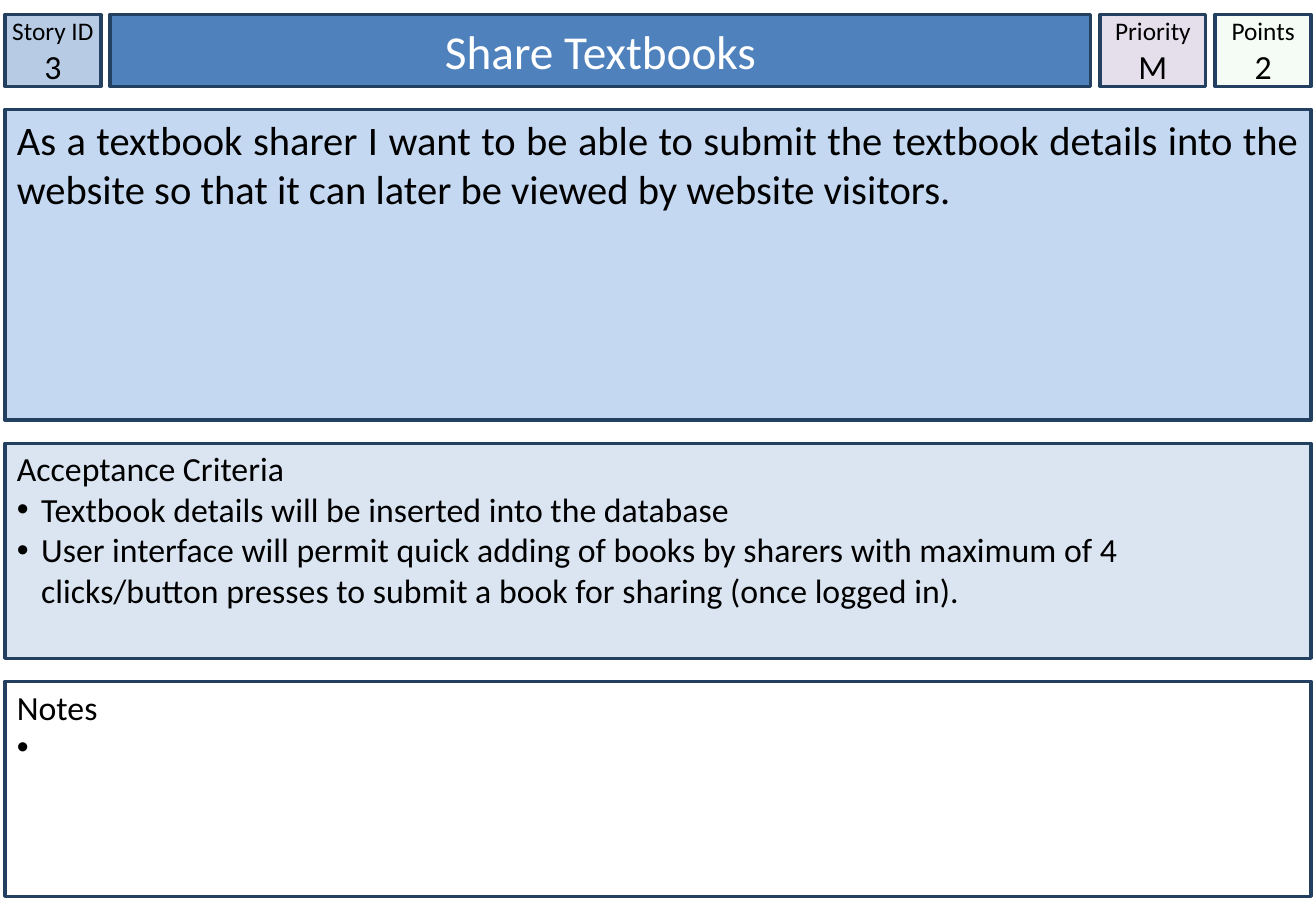
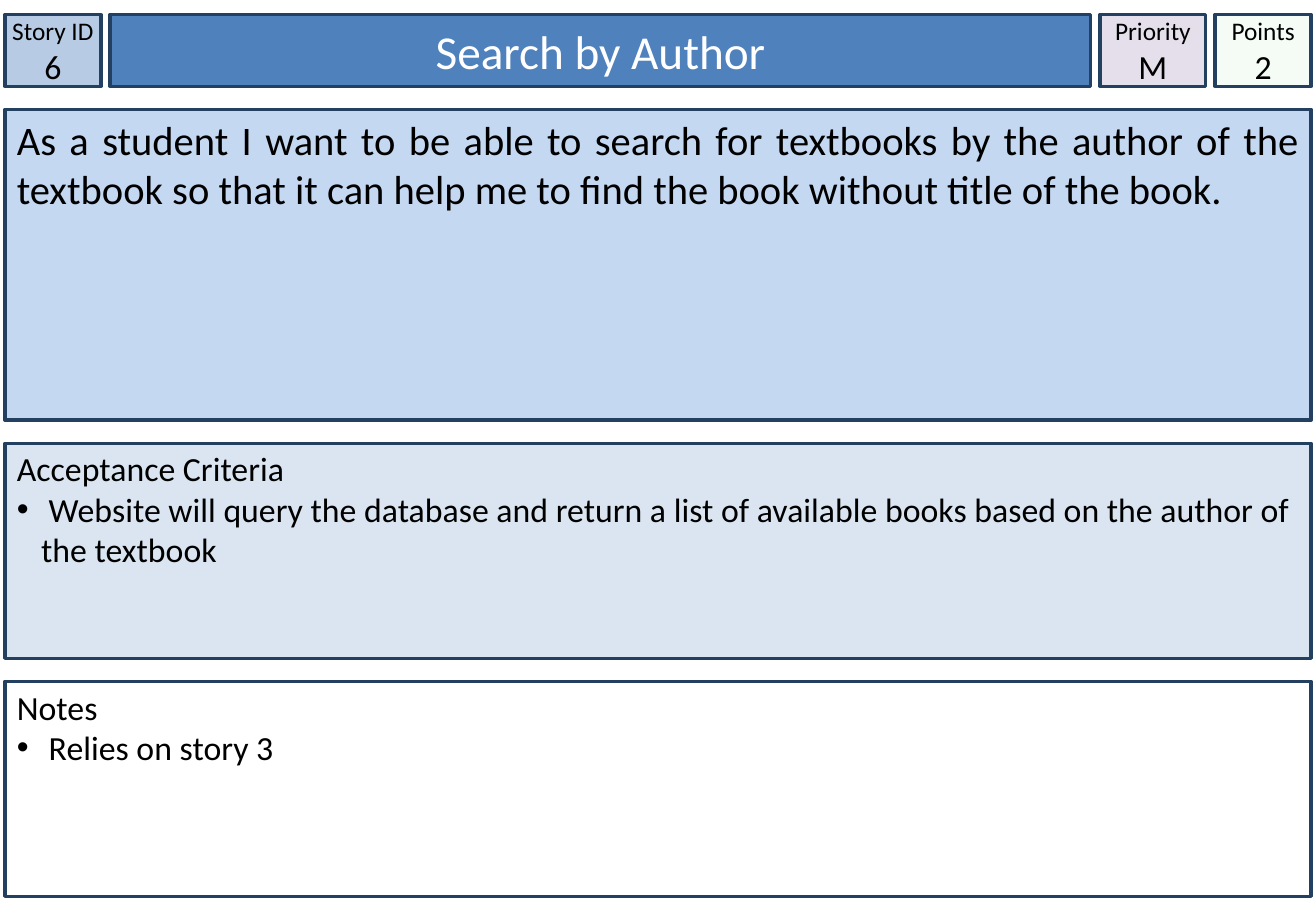
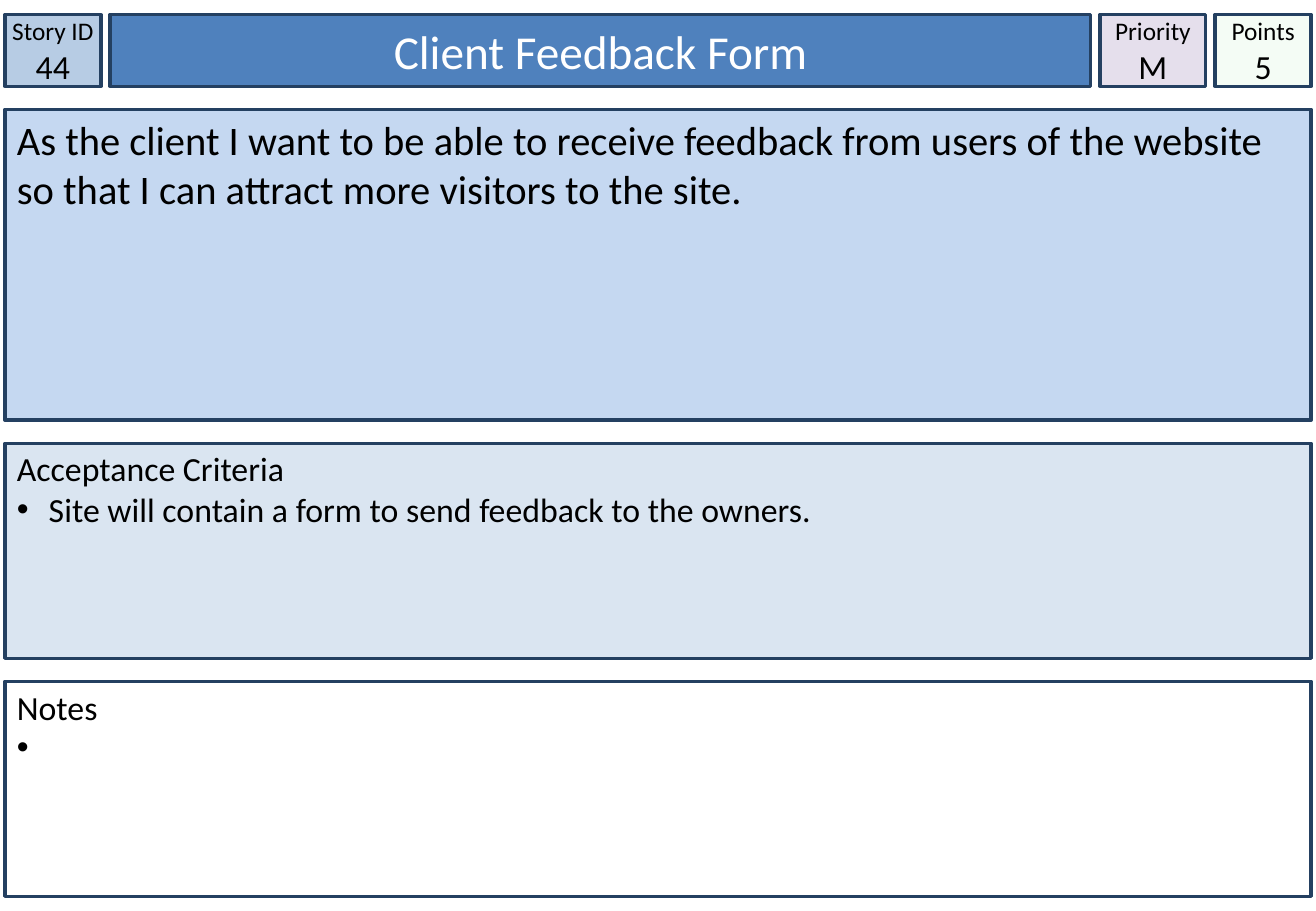
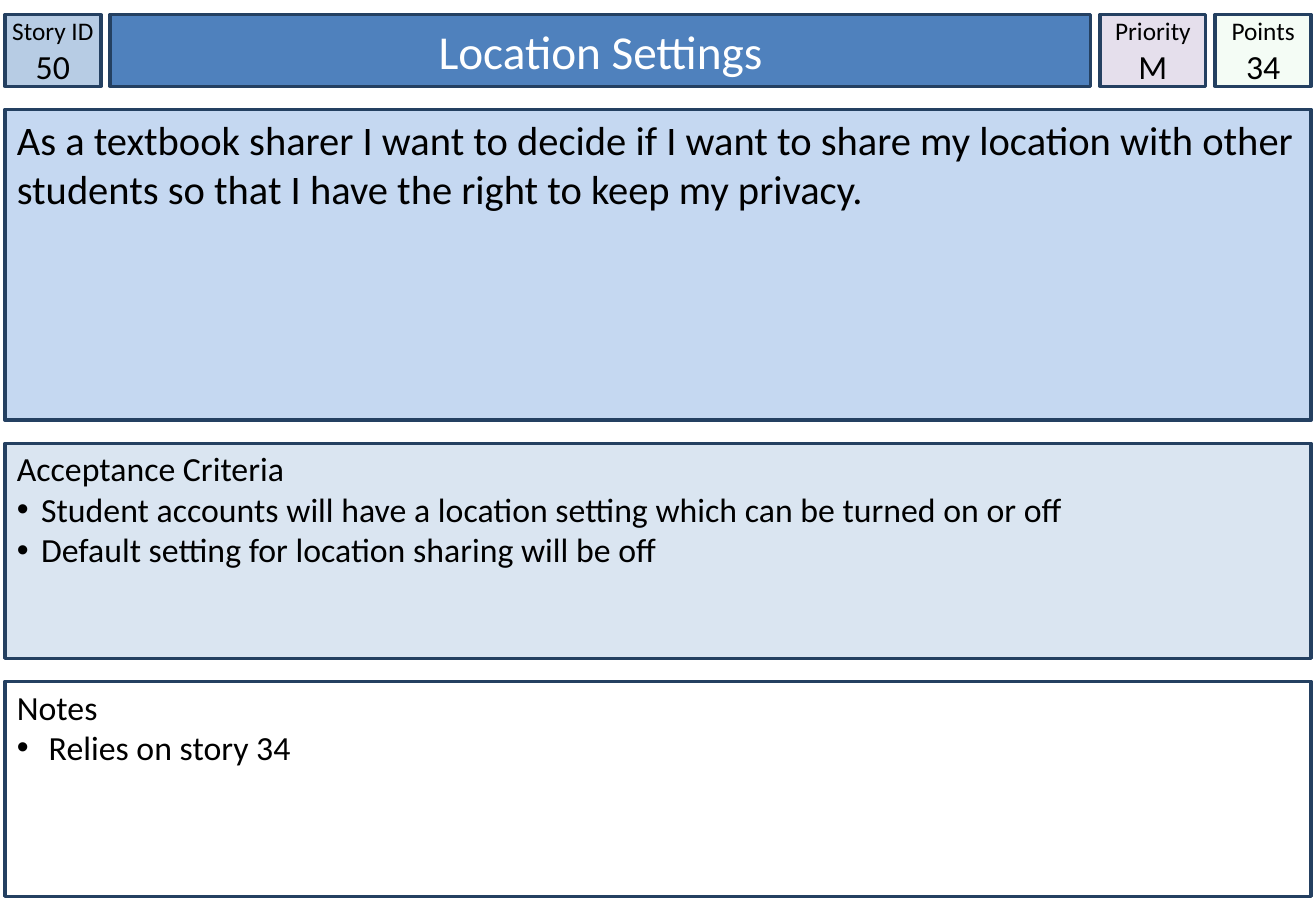
from dataclasses import dataclass

from lxml.etree import SubElement
from pptx import Presentation
from pptx.dml.color import RGBColor
from pptx.enum.shapes import MSO_SHAPE
from pptx.enum.text import MSO_ANCHOR as Anchor, PP_ALIGN as Align
from pptx.oxml.ns import qn
from pptx.shapes.autoshape import Shape
from pptx.slide import Slide
from pptx.util import Inches, Pt


@dataclass(frozen=True)
class Theme:
    font: str = "Calibri"
    text: str = "000000"
    title_text: str = "FFFFFF"
    border: str = "244061"
    story_id: str = "B7CCE4"
    title: str = "4F81BD"
    priority: str = "E5DFEC"
    points: str = "CCF0CD"
    points_opacity: int = 20
    story: str = "C5D8F1"
    criteria: str = "DAE5F1"
    notes: str = "FFFFFF"
    border_width: float = 2
    label_size: int = 15
    body_size: int = 20
    story_size: int = 24
    title_size: int = 28


@dataclass(frozen=True)
class Line:
    """One paragraph of text in a box."""
    text: str
    size: int
    align: Align = Align.LEFT
    color: str = "000000"
    bulleted: bool = False


@dataclass(frozen=True)
class Box:
    """A bordered rectangle; extent is its width in the header, its height in the stack."""
    extent: float
    fill: str
    lines: list[Line]
    anchor: Anchor = Anchor.TOP
    side_inset: float = 0.1
    top_inset: float = 0.05
    opacity: int = 100


@dataclass(frozen=True)
class Story:
    number: str
    title: str
    priority: str
    points: str
    text: str
    criteria: list[str]
    note: str = " "
    align: Align = Align.LEFT


THEME = Theme()
PAGE_WIDTH, PAGE_HEIGHT = 10.83, 7.5
LEFT, CONTENT_WIDTH = 0.04, 10.75
HEADER_TOP, HEADER_HEIGHT = 0.12, 0.59
STACK_GAP = 0.19
BULLET_INDENT = 0.2

STORIES = [
    Story(
        "3", "Share Textbooks", "M", "2",
        "As a textbook sharer I want to be able to submit the textbook details into the "
        "website so that it can later be viewed by website visitors.",
        ["Textbook details will be inserted into the database",
         "User interface will permit quick adding of books by sharers with maximum of 4 "
         "clicks/button presses to submit a book for sharing (once logged in)."],
        align=Align.JUSTIFY,
    ),
    Story(
        "6", "Search by Author", "M", "2",
        "As a student I want to be able to search for textbooks by the author of the "
        "textbook so that it can help me to find the book without title of the book.",
        [" Website will query the database and return a list of available books based on "
         "the author of the textbook"],
        " Relies on story 3",
        Align.JUSTIFY,
    ),
    Story(
        "44", "Client Feedback Form", "M", "5",
        "As the client I want to be able to receive feedback from users of the website "
        "so that I can attract more visitors to the site.",
        [" Site will contain a form to send feedback to the owners."],
    ),
    Story(
        "50", "Location Settings", "M", "34",
        "As a textbook sharer I want to decide if I want to share my location with other "
        "students so that I have the right to keep my privacy.",
        ["Student accounts will have a location setting which can be turned on or off",
         "Default setting for location sharing will be off"],
        " Relies on story 34",
    ),
]


def add_bullet(paragraph) -> None:
    properties = paragraph._p.get_or_add_pPr()
    properties.set("marL", str(Inches(BULLET_INDENT)))
    properties.set("indent", str(-Inches(BULLET_INDENT)))
    color = SubElement(properties, qn("a:buClr"))
    SubElement(color, qn("a:srgbClr"), val=THEME.text)
    SubElement(properties, qn("a:buFont"), typeface="Arial")
    SubElement(properties, qn("a:buChar"), char="•")


def write_lines(shape: Shape, box: Box) -> None:
    frame = shape.text_frame
    frame.word_wrap = True
    frame.vertical_anchor = box.anchor
    frame.margin_left = frame.margin_right = Inches(box.side_inset)
    frame.margin_top = Inches(box.top_inset)
    frame.margin_bottom = Inches(0.05)
    frame.text = "\n".join(line.text for line in box.lines)
    for paragraph, line in zip(frame.paragraphs, box.lines):
        paragraph.alignment = line.align
        if line.bulleted:
            add_bullet(paragraph)
        for span in paragraph.runs:
            span.font.name = THEME.font
            span.font.size = Pt(line.size)
            span.font.color.rgb = RGBColor.from_string(line.color)


def draw_box(page: Slide, box: Box, left: float, top: float, width: float, height: float) -> None:
    shape = page.shapes.add_shape(
        MSO_SHAPE.RECTANGLE, Inches(left), Inches(top), Inches(width), Inches(height))
    shape.shadow.inherit = False
    shape.fill.solid()
    shape.fill.fore_color.rgb = RGBColor.from_string(box.fill)
    if box.opacity < 100:
        color = shape._element.spPr.find(qn("a:solidFill")).find(qn("a:srgbClr"))
        SubElement(color, qn("a:alpha"), val=str(box.opacity * 1000))
    shape.line.color.rgb = RGBColor.from_string(THEME.border)
    shape.line.width = Pt(THEME.border_width)
    write_lines(shape, box)


def badge(width: float, fill: str, label: str, value: str, opacity: int = 100) -> Box:
    """A small header box with a label above its value."""
    lines = [Line(label, THEME.label_size, Align.CENTER),
             Line(value, THEME.body_size, Align.CENTER)]
    return Box(width, fill, lines, Anchor.MIDDLE, side_inset=0, opacity=opacity)


def bullet_panel(fill: str, heading: str, items: list[str]) -> Box:
    lines = [Line(heading, THEME.body_size)]
    lines += [Line(item, THEME.body_size, bulleted=True) for item in items]
    return Box(1.77, fill, lines, top_inset=0.04)


def draw_header(page: Slide, story: Story) -> None:
    title = Line(story.title, THEME.title_size, Align.CENTER, THEME.title_text)
    boxes = [
        badge(0.79, THEME.story_id, "Story ID", story.number),
        Box(8.07, THEME.title, [title], Anchor.MIDDLE),
        badge(0.87, THEME.priority, "Priority", story.priority),
        badge(0.79, THEME.points, "Points", story.points, THEME.points_opacity),
    ]
    gap = (CONTENT_WIDTH - sum(box.extent for box in boxes)) / (len(boxes) - 1)
    left = LEFT
    for box in boxes:
        draw_box(page, box, left, HEADER_TOP, box.extent, HEADER_HEIGHT)
        left += box.extent + gap


def draw_stack(page: Slide, story: Story) -> None:
    """Draw the full-width panels below the header."""
    boxes = [
        Box(2.56, THEME.story, [Line(story.text, THEME.story_size, story.align)]),
        bullet_panel(THEME.criteria, "Acceptance Criteria", story.criteria),
        bullet_panel(THEME.notes, "Notes", [story.note]),
    ]
    top = HEADER_TOP + HEADER_HEIGHT + STACK_GAP
    for box in boxes:
        draw_box(page, box, LEFT, top, CONTENT_WIDTH, box.extent)
        top += box.extent + STACK_GAP


def main() -> None:
    deck = Presentation()
    deck.slide_width, deck.slide_height = Inches(PAGE_WIDTH), Inches(PAGE_HEIGHT)
    blank_layout = deck.slide_layouts[6]
    for story in STORIES:
        page = deck.slides.add_slide(blank_layout)
        draw_header(page, story)
        draw_stack(page, story)
    deck.save("out.pptx")


if __name__ == "__main__":
    main()
